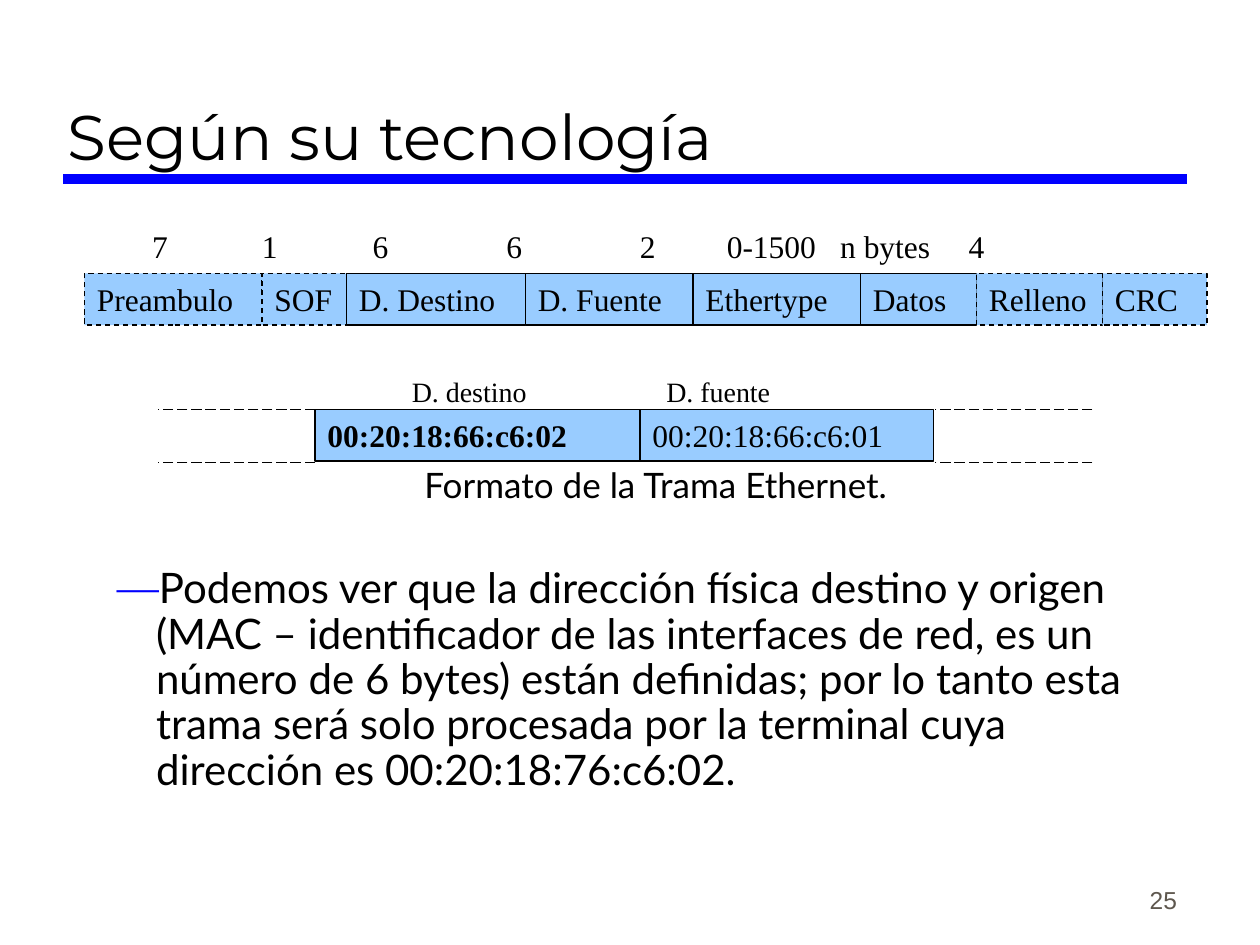
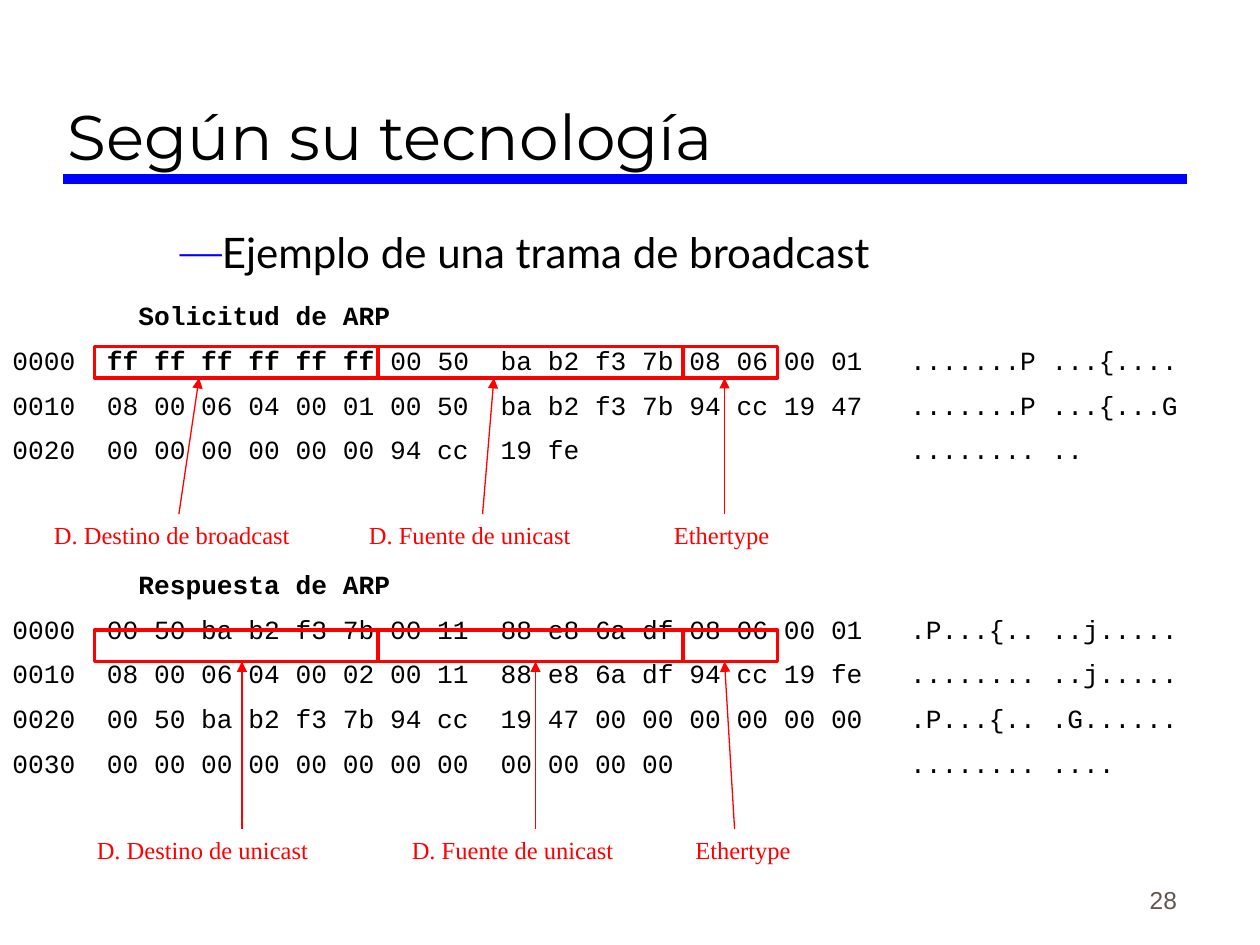
from itertools import pairwise

from lxml import etree
from pptx import Presentation
from pptx.dml.color import RGBColor
from pptx.enum.dml import MSO_LINE
from pptx.enum.shapes import MSO_CONNECTOR, MSO_SHAPE
from pptx.enum.text import MSO_ANCHOR, PP_ALIGN
from pptx.oxml.ns import qn
from pptx.util import Inches, Pt

BLACK = RGBColor(0, 0, 0)
BLUE = RGBColor(0, 0, 255)
RED = RGBColor(255, 0, 0)
SKY = RGBColor(0x99, 0xCC, 0xFF)
GRAY = RGBColor(0x5E, 0x57, 0x4E)

SERIF, SANS, MONO = "Times New Roman", "Lato", "Courier New"
TOP, MIDDLE, BOTTOM = MSO_ANCHOR.TOP, MSO_ANCHOR.MIDDLE, MSO_ANCHOR.BOTTOM
LEFT, CENTER, RIGHT = PP_ALIGN.LEFT, PP_ALIGN.CENTER, PP_ALIGN.RIGHT
DASH, LONG = MSO_LINE.DASH, MSO_LINE.LONG_DASH
STRAIGHT, RECT = MSO_CONNECTOR.STRAIGHT, MSO_SHAPE.RECTANGLE

# Frame fields: name, whether the border is dashed
FIELDS = [("Preambulo", True), ("SOF", True), ("D. Destino", False),
          ("D. Fuente", False), ("Ethertype", False), ("Datos", False),
          ("Relleno", True), ("CRC", True)]
EDGES = [0.67, 2.08, 2.75, 4.17, 5.5, 6.83, 7.75, 8.75, 9.58]
BYTES = "\t7\t1\t6\t6\t2\t0-1500\tn bytes\t4"
STOPS = [0.44, 1.31, 2.19, 3.25, 4.31, 5, 5.9, 6.92]

CELL = 0.125  # width of one monospaced character
HEX_STOPS = [6 * CELL, 31 * CELL, 57 * CELL]
MARKS = [0.75, 3, 5.42, 6.17]

ASK = [
    [("0000\t", False), ("ff ff ff ff ff ff", True),
     (" 00 50\tba b2 f3 7b 08 06 00 01\t.......P ...{....", False)],
    "0010\t08 00 06 04 00 01 00 50\tba b2 f3 7b 94 cc 19 47\t.......P ...{...G",
    "0020\t00 00 00 00 00 00 94 cc\t19 fe\t........ ..",
]
REPLY = [
    "0000\t00 50 ba b2 f3 7b 00 11\t88 e8 6a df 08 06 00 01\t.P...{.. ..j.....",
    "0010\t08 00 06 04 00 02 00 11\t88 e8 6a df 94 cc 19 fe\t........ ..j.....",
    "0020\t00 50 ba b2 f3 7b 94 cc\t19 47 00 00 00 00 00 00\t.P...{.. .G......",
    "0030\t00 00 00 00 00 00 00 00\t00 00 00 00\t........ ....",
]

# Callouts: text, left, width, arrow start x, arrow tip x
ASK_TAGS = [("D. Destino de broadcast", 0.33, 2.33, 1.42, 1.58),
            ("D. Fuente de unicast", 2.83, 2.33, 3.83, 3.92),
            ("Ethertype", 5.25, 1.08, 5.75, 5.75)]
REPLY_TAGS = [("D. Destino de unicast", 0.67, 2.33, 1.92, 1.92),
              ("D. Fuente de unicast", 3.17, 2.33, 4.25, 4.25),
              ("Ethertype", 5.42, 1.08, 5.83, 5.75)]


def write(frame, text, size=18, font=SERIF, color=BLACK, bold=False,
          align=LEFT, before=2, spacing=None, margin=0, indent=0,
          bullet=None, stops=()):
    """Add a paragraph; text is a string or a list of (string, bold) runs."""
    para = frame.paragraphs[0]
    if para.runs:
        para = frame.add_paragraph()
    para.alignment = align
    para.space_before = Pt(before)
    if spacing:
        para.line_spacing = spacing
    props = para._p.get_or_add_pPr()
    if margin:
        props.set("marL", str(Inches(margin)))
        props.set("indent", str(Inches(indent)))
    if bullet:
        tint = etree.SubElement(props, qn("a:buClr"))
        etree.SubElement(tint, qn("a:srgbClr"), val=str(BLUE))
        etree.SubElement(props, qn("a:buFont"), typeface=SERIF)
        etree.SubElement(props, qn("a:buChar"), char=bullet)
    if stops:
        tabs = etree.SubElement(props, qn("a:tabLst"))
        for stop in stops:
            etree.SubElement(tabs, qn("a:tab"), pos=str(Inches(stop)), algn="l")
    for part, heavy in [(text, bold)] if isinstance(text, str) else text:
        run = para.add_run()
        run.text = part
        run.font.name = font
        run.font.size = Pt(size)
        run.font.bold = heavy
        run.font.color.rgb = color


def area(slide, left, top, width, height, anchor=TOP):
    box = slide.shapes.add_textbox(
        Inches(left), Inches(top), Inches(width), Inches(height))
    frame = box.text_frame
    frame.word_wrap = True
    frame.vertical_anchor = anchor
    return frame


def block(slide, left, top, width, height, fill=None, color=BLACK,
          weight=0.75, dash=None):
    shape = slide.shapes.add_shape(
        RECT, Inches(left), Inches(top), Inches(width), Inches(height))
    shape.shadow.inherit = False
    if fill is None:
        shape.fill.background()
    else:
        shape.fill.solid()
        shape.fill.fore_color.rgb = fill
    shape.line.color.rgb = color
    shape.line.width = Pt(weight)
    if dash:
        shape.line.dash_style = dash
    return shape


def field(slide, text, left, top, width, dash=None, bold=False):
    shape = block(slide, left, top, width, 0.41, fill=SKY, dash=dash)
    shape.text_frame.vertical_anchor = MIDDLE
    write(shape.text_frame, text, bold=bold, before=0)


def rule(slide, start, end, color=BLACK, weight=0.75, dash=None, arrow=False):
    line = slide.shapes.add_connector(STRAIGHT, *map(Inches, start + end))
    line.line.color.rgb = color
    line.line.width = Pt(weight)
    if dash:
        line.line.dash_style = dash
    if arrow:
        etree.SubElement(line.line._get_or_add_ln(), qn("a:tailEnd"),
                         type="triangle")
    etree.SubElement(line._element.spPr, qn("a:effectLst"))


def page(deck, number):
    """Add a slide with the shared title, band and page number."""
    slide = deck.slides.add_slide(deck.slide_layouts[6])
    rule(slide, (0.5, 1.42), (9.42, 1.42), color=BLUE, weight=6)
    write(area(slide, 0.44, 0.17, 8.97, 1.25, BOTTOM), "Según su tecnología",
          size=36, font="Montserrat", before=0)
    write(area(slide, 7.36, 6.81, 2.08, 0.5, BOTTOM), str(number), size=14,
          font="Arial", color=GRAY, align=RIGHT, before=0)
    return slide


def point(frame, text, **style):
    write(frame, text, size=24, font=SANS, margin=0.81, indent=-0.31,
          bullet="—", **style)


def dump(frame, title, rows, before):
    """Write one titled hex dump; before is the space over the title."""
    write(frame, title, size=15, font=MONO, bold=True, margin=1, before=before)
    for row in rows:
        write(frame, row, size=15, font=MONO, before=7.5, stops=HEX_STOPS)


def mark(slide, top, base, tags):
    """Outline the header fields and point at them from captions at base."""
    for left, right in pairwise(MARKS):
        block(slide, left, top, right - left, 0.25, color=RED, weight=2)
    for text, left, width, start, tip in tags:
        write(area(slide, left, base, width, 0.33), text, size=14, color=RED)
        rule(slide, (start, base), (tip, top + 0.25), color=RED, arrow=True)


def format_page(deck):
    slide = page(deck, 25)
    body = area(slide, 0.33, 3.67, 8.75, 3.83)
    write(body, "Formato de la Trama Ethernet.", size=20, font=SANS,
          align=CENTER, spacing=0.9, margin=1.25, indent=-0.25)
    point(body, "Podemos ver que la dirección física destino y origen (MAC – "
          "identificador de las interfaces de red, es un número de 6 bytes) "
          "están definidas; por lo tanto esta trama será solo procesada por "
          "la terminal cuya dirección es 00:20:18:76:c6:02.",
          spacing=0.9, before=35)
    for (name, dashed), (left, right) in zip(FIELDS, pairwise(EDGES)):
        field(slide, name, left, 2.17, right - left, DASH if dashed else None)
    write(area(slide, 0.67, 1.75, 9, 0.4), BYTES, stops=STOPS)
    field(slide, "00:20:18:66:c6:02", 2.5, 3.25, 2.58, bold=True)
    field(slide, "00:20:18:66:c6:01", 5.08, 3.25, 2.33)
    write(area(slide, 3.17, 2.92, 3.83, 0.37), "D. destino\tD. fuente",
          size=16, stops=[2.02])
    for right in (2.5, 8.67):
        for y in (3.25, 3.67):
            rule(slide, (right, y), (right - 1.25, y), dash=LONG)


def arp_page(deck):
    slide = page(deck, 28)
    point(area(slide, 0.83, 1.75, 8.5, 0.58),
          "Ejemplo de una trama de broadcast")
    frame = area(slide, 0, 2.33, 10, 4.1)
    dump(frame, "Solicitud de ARP", ASK, before=2.5)
    dump(frame, "Respuesta de ARP", REPLY, before=59)
    mark(slide, 2.75, 4.08, ASK_TAGS)
    mark(slide, 5, 6.58, REPLY_TAGS)


def main():
    deck = Presentation()
    deck.slide_width = Inches(10)
    deck.slide_height = Inches(7.5)
    format_page(deck)
    arp_page(deck)
    deck.save("out.pptx")


if __name__ == "__main__":
    main()
